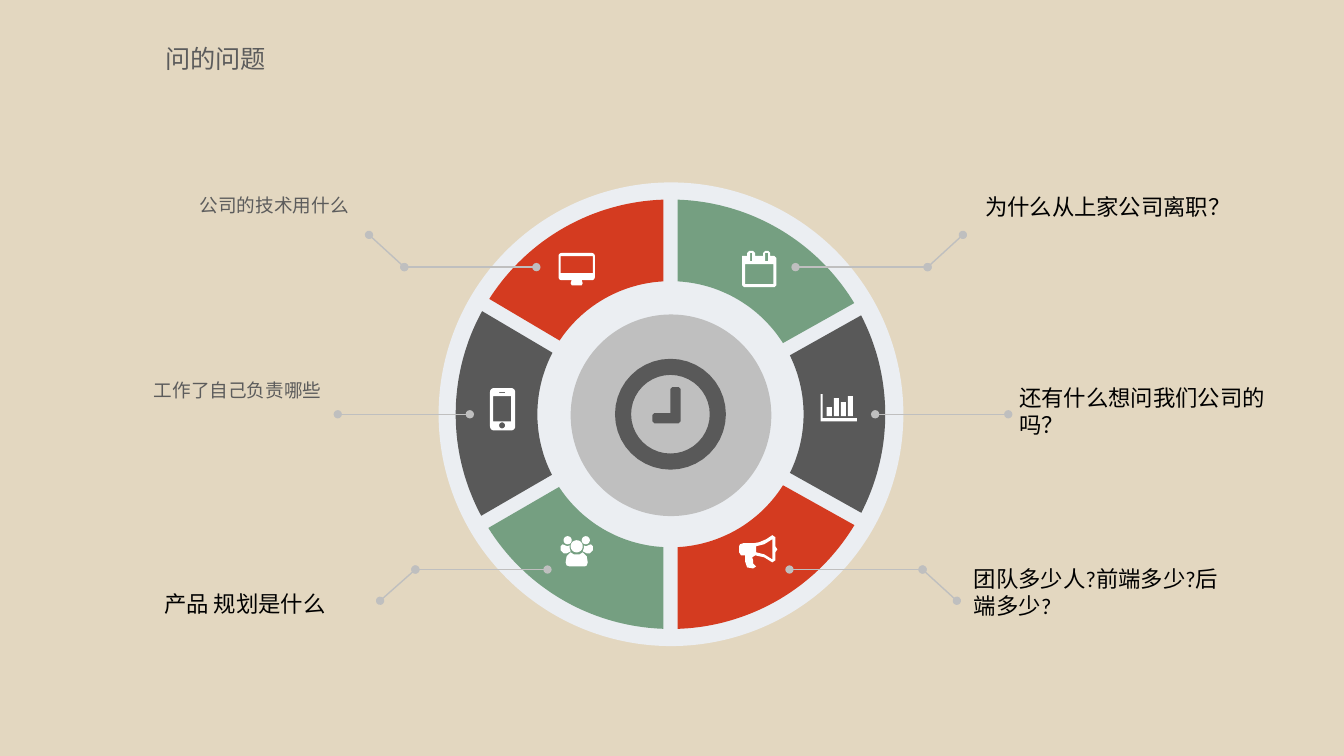
import math

import lxml.etree
import pptx
import pptx.dml.color
import pptx.enum.shapes
import pptx.enum.text
import pptx.oxml.ns
import pptx.util

Inches = pptx.util.Inches
RED, GREEN, DARK, SILVER, WHITE = "D43B20", "759F81", "595959", "BFBFBF", "FFFFFF"
CENTER = (6.65, 4.11)


def color(hex_string):
    return pptx.dml.color.RGBColor.from_string(hex_string)


def apply(target, values):
    for name, value in values.items():
        setattr(target, name, value)


def arc(center, radius, start, end, steps=40):
    angles = [math.radians(start + (end - start) * i / steps) for i in range(steps + 1)]
    return [(center[0] + radius * math.cos(a), center[1] + radius * math.sin(a)) for a in angles]


def circle(x, y, radius):
    return arc((x, y), radius, 0, 360)[:-1]


def box(left, top, right, bottom, radius=0):
    if not radius:
        return [(left, top), (right, top), (right, bottom), (left, bottom)]
    corners = [(right - radius, bottom - radius, 0), (left + radius, bottom - radius, 90),
               (left + radius, top + radius, 180), (right - radius, top + radius, 270)]
    return [point for x, y, angle in corners for point in arc((x, y), radius, angle, angle + 90, 6)]


def mirror(points, axis):
    return [(2 * axis - x, y) for x, y in points]


def wheel_segment(start, end, inner=1.32, outer=2.13, half_gap=0.07):
    def edge(radius):
        trim = math.degrees(math.asin(half_gap / radius))
        return arc(CENTER, radius, start + trim, end - trim)
    return edge(outer) + edge(inner)[::-1]


class SlideBuilder:
    body = {"size": pptx.util.Pt(16), "name": "Calibri", "color": "000000"}
    muted = {"size": pptx.util.Pt(13.3), "name": "Roboto Condensed", "color": "5C5C5C"}
    heading = {**muted, "size": pptx.util.Pt(18)}

    def __init__(self, presentation, background):
        self.slide = presentation.slides.add_slide(presentation.slide_layouts[5])
        self.slide.background.fill.solid()
        self.slide.background.fill.fore_color.rgb = color(background)

    def paint(self, shape, fill):
        shape.shadow.inherit = False
        shape.fill.solid()
        shape.fill.fore_color.rgb = color(fill)
        shape.line.fill.background()

    def disc(self, left, top, width, height, fill):
        shape = self.slide.shapes.add_shape(
            pptx.enum.shapes.MSO_SHAPE.OVAL, *map(Inches, (left, top, width, height)))
        self.paint(shape, fill)

    def outline(self, contours, fill):
        contours = [[(Inches(x), Inches(y)) for x, y in contour] for contour in contours]
        builder = self.slide.shapes.build_freeform(*contours[0][0], scale=1.0)
        for index, contour in enumerate(contours):
            if index:
                builder.move_to(*contour[0])
            builder.add_line_segments(contour[1:], close=True)
        self.paint(builder.convert_to_shape(), fill)

    def leader(self, points):
        shapes = self.slide.shapes
        if len(points) > 2:
            shapes = shapes.add_group_shape().shapes
        for start, end in zip(points, points[1:]):
            connector = shapes.add_connector(
                pptx.enum.shapes.MSO_CONNECTOR.STRAIGHT, *map(Inches, start + end))
            connector.line.color.rgb = color(SILVER)
            connector.line.width = pptx.util.Pt(1)
            line = connector.line._get_or_add_ln()
            for tag in ("a:headEnd", "a:tailEnd"):
                lxml.etree.SubElement(line, pptx.oxml.ns.qn(tag), type="oval")
            lxml.etree.SubElement(connector._element.spPr, pptx.oxml.ns.qn("a:effectLst"))

    def set_text(self, shape, text, style, frame_values, align):
        frame = shape.text_frame
        apply(frame, {"vertical_anchor": pptx.enum.text.MSO_ANCHOR.TOP,
                      "auto_size": pptx.enum.text.MSO_AUTO_SIZE.SHAPE_TO_FIT_TEXT,
                      **frame_values})
        paragraph = frame.paragraphs[0]
        paragraph.alignment = align
        run = paragraph.add_run()
        run.text = text
        apply(run.font, {"size": style["size"], "name": style["name"]})
        run.font.color.rgb = color(style["color"])

    def title(self, text, left, top, width, height):
        shape = self.slide.shapes.title
        apply(shape, {"left": Inches(left), "top": Inches(top),
                      "width": Inches(width), "height": Inches(height)})
        self.set_text(shape, text, self.heading, {"word_wrap": False},
                      pptx.enum.text.PP_ALIGN.RIGHT)

    def label(self, text, left, top, height, style, align):
        shape = self.slide.shapes.add_textbox(*map(Inches, (left, top, 2.58, height)))
        margins = {f"margin_{side}": 0 for side in ("left", "top", "right", "bottom")}
        self.set_text(shape, text, style, {"word_wrap": True, **margins}, align)


def icons():
    calendar = [
        [(7.36, 2.54), (7.41, 2.54), (7.41, 2.51), (7.43, 2.49), (7.47, 2.49), (7.49, 2.51),
         (7.49, 2.54), (7.57, 2.54), (7.57, 2.51), (7.59, 2.49), (7.62, 2.49), (7.64, 2.51),
         (7.64, 2.54), (7.68, 2.54), (7.7, 2.56), (7.7, 2.83), (7.68, 2.85), (7.38, 2.85),
         (7.36, 2.83)],
        box(7.39, 2.62, 7.67, 2.82), box(7.44, 2.51, 7.46, 2.59), box(7.59, 2.51, 7.62, 2.59)]
    monitor = [
        box(5.54, 2.51, 5.9, 2.78, 0.03), box(5.56, 2.54, 5.88, 2.71),
        [(5.67, 2.78), (5.77, 2.78), (5.78, 2.81), (5.77, 2.83), (5.67, 2.83), (5.66, 2.81)]]
    bars = zip((8.2, 8.27, 8.34, 8.41), (4.04, 3.95, 3.99, 3.93))
    chart = [[(8.14, 3.91), (8.16, 3.91), (8.16, 4.15), (8.5, 4.15), (8.5, 4.18), (8.14, 4.18)]]
    chart += [box(left, top, left + 0.05, 4.13) for left, top in bars]
    phone = [box(4.86, 3.85, 5.11, 4.27, 0.04), box(4.89, 3.93, 5.07, 4.18),
             box(4.95, 3.89, 5.01, 3.9), circle(4.98, 4.22, 0.03)]
    megaphone = [
        [(7.33, 5.42), (7.34, 5.4), (7.37, 5.39), (7.47, 5.39), (7.53, 5.38), (7.6, 5.35),
         (7.66, 5.31), (7.69, 5.33), (7.69, 5.42), (7.71, 5.45), (7.69, 5.48), (7.69, 5.56),
         (7.66, 5.58), (7.58, 5.53), (7.49, 5.51), (7.46, 5.53), (7.47, 5.56), (7.47, 5.59),
         (7.5, 5.62), (7.47, 5.64), (7.41, 5.63), (7.39, 5.57), (7.39, 5.51), (7.35, 5.51),
         (7.33, 5.48)],
        [(7.66, 5.35), (7.58, 5.4), (7.5, 5.42), (7.5, 5.48), (7.58, 5.5), (7.66, 5.55)]]
    shoulder = [(5.56, 5.46), (5.56, 5.42), (5.58, 5.4), (5.63, 5.42), (5.65, 5.41),
                (5.65, 5.44), (5.66, 5.47), (5.62, 5.49), (5.59, 5.49)]
    helper = [shoulder, circle(5.63, 5.36, 0.04)]
    torso = [(5.61, 5.58), (5.62, 5.52), (5.66, 5.48), (5.69, 5.5), (5.75, 5.5), (5.78, 5.48),
             (5.82, 5.52), (5.83, 5.58), (5.82, 5.61), (5.8, 5.62), (5.65, 5.62), (5.62, 5.61)]
    people = helper + [mirror(part, 5.72) for part in helper]
    people += [torso, circle(5.72, 5.42, 0.06)]
    return [calendar, monitor, chart, phone, megaphone, people]


def main():
    presentation = pptx.Presentation()
    apply(presentation, {"slide_width": Inches(13.33), "slide_height": Inches(7.5)})
    builder = SlideBuilder(presentation, "E3D7C0")
    builder.title("问的问题", 1.53, 0.38, 1.21, 0.4)

    builder.disc(4.35, 1.81, 4.61, 4.6, "EBEEF2")
    builder.disc(5.66, 3.12, 1.99, 2, SILVER)
    spokes = [-90, -29.3, 29.2, 90, 149.9, 210.6, 270]
    fills = [GREEN, DARK, RED, GREEN, DARK, RED]
    for start, end, fill in zip(spokes, spokes[1:], fills):
        builder.outline([wheel_segment(start, end)], fill)

    for points in (
        [(9.55, 2.33), (9.2, 2.65), (7.89, 2.65)],
        [(9.49, 5.96), (9.15, 5.65), (7.83, 5.65)],
        [(3.66, 2.33), (4.01, 2.65), (5.32, 2.65)],
        [(3.77, 5.96), (4.12, 5.65), (5.43, 5.65)],
        [(10, 4.11), (8.68, 4.11)],
        [(4.66, 4.11), (3.35, 4.11)],
    ):
        builder.leader(points)

    left, right = pptx.enum.text.PP_ALIGN.LEFT, pptx.enum.text.PP_ALIGN.RIGHT
    for text, x, y, height, style, align in (
        ("工作了自己负责哪些", 0.61, 3.76, 0.22, builder.muted, right),
        ("公司的技术用什么", 0.88, 1.92, 0.22, builder.muted, right),
        ("产品 规划是什么", 1.63, 5.85, 0.27, builder.body, left),
        ("还有什么想问我们公司的吗？", 10.11, 3.81, 0.54, builder.body, left),
        ("为什么从上家公司离职？", 9.77, 1.92, 0.27, builder.body, left),
        ("团队多少人?前端多少?后端多少?", 9.66, 5.61, 0.54, builder.body, left),
    ):
        builder.label(text, x, y, height, style, align)

    for contours in icons():
        builder.outline(contours, WHITE)
    hands = [(6.65, 3.86), (6.67, 3.84), (6.73, 3.84), (6.75, 3.86), (6.75, 4.18), (6.73, 4.2),
             (6.49, 4.2), (6.47, 4.18), (6.47, 4.12), (6.49, 4.1), (6.65, 4.1)]
    builder.outline([circle(*CENTER, 0.55), circle(*CENTER, 0.39), hands], DARK)
    presentation.save("out.pptx")


if __name__ == "__main__":
    main()
